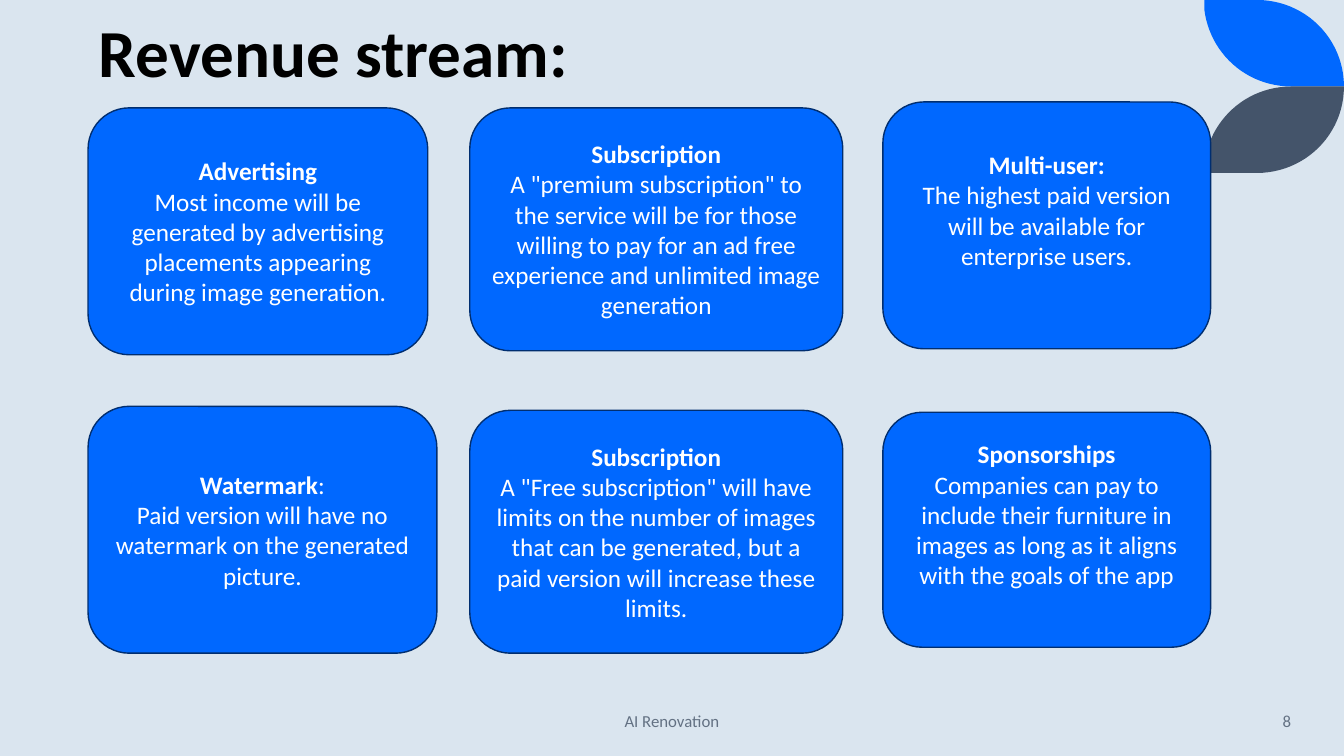
"""Build the revenue stream slide with six cards and a leaf ornament."""
from dataclasses import dataclass

import pptx
import pptx.dml.color
import pptx.enum.shapes
import pptx.enum.text
import pptx.shapes.autoshape
import pptx.slide
import pptx.text.text
import pptx.util

Cm = pptx.util.Cm
Align = pptx.enum.text.PP_ALIGN
Anchor = pptx.enum.text.MSO_ANCHOR
Point = tuple[float, float]


@dataclass(frozen=True)
class Theme:
    """Colours, font and type sizes of the slide."""

    font: str = "Calibri"
    background: str = "DAE5EF"
    accent: str = "0068FF"
    outline: str = "002E70"
    slate: str = "44546A"
    muted: str = "637183"
    title: str = "000000"
    card_text: str = "FFFFFF"
    title_size: int = 48
    card_size: int = 18
    footer_size: int = 12


@dataclass(frozen=True)
class Card:
    """A rounded card, in centimetres, with a bold heading and a body."""

    left: float
    top: float
    width: float
    height: float
    heading: str
    body: str
    suffix: str = ""
    bottom_inset: float = 0.13


@dataclass(frozen=True)
class Footer:
    """A footer text box, in centimetres."""

    left: float
    width: float
    text: str
    align: Align


THEME = Theme()
LEFT, MIDDLE, RIGHT = 2.22, 11.84, 22.25
RAISED_INSET = 0.9
FOOTER_TOP, FOOTER_HEIGHT = 17.65, 1.02
LEAF_LEFT, LEAF_HEIGHT = 30.35, 2.18
CARDS = (
    Card(LEFT, 2.72, 8.56, 6.22, "Advertising",
         "Most income will be generated by advertising placements appearing "
         "during image generation."),
    Card(MIDDLE, 2.72, 9.4, 6.12, "Subscription",
         'A "premium subscription" to the service will be for those willing '
         "to pay for an ad free experience and unlimited image generation"),
    Card(RIGHT, 2.57, 8.26, 6.22, "Multi-user:",
         "The highest paid version will be available for enterprise users.",
         bottom_inset=RAISED_INSET),
    Card(LEFT, 10.24, 8.79, 6.22, "Watermark",
         "Paid version will have no watermark on the generated picture.",
         suffix=":"),
    Card(MIDDLE, 10.34, 9.4, 6.12, "Subscription",
         'A "Free subscription" will have limits on the number of images '
         "that can be generated, but a paid version will increase "
         "these limits."),
    Card(RIGHT, 10.39, 8.26, 5.92, "Sponsorships",
         "Companies can pay to include their furniture in images as long as "
         "it aligns with the goals of the app",
         bottom_inset=RAISED_INSET),
)
FOOTERS = (
    Footer(11.22, 11.43, "AI Renovation", Align.CENTER),
    Footer(28.2, 4.59, "8", Align.RIGHT),
)


def rgb(code: str) -> pptx.dml.color.RGBColor:
    """Return the colour for a hexadecimal code."""
    return pptx.dml.color.RGBColor.from_string(code)


def style(para: pptx.text.text._Paragraph, size: int, color: str,
          align: Align, bold: bool = False) -> None:
    """Align a paragraph and format its runs."""
    para.alignment = align
    for span in para.runs:
        span.font.name = THEME.font
        span.font.size = pptx.util.Pt(size)
        span.font.bold = bold
        span.font.color.rgb = rgb(color)


def paint(shape: pptx.shapes.autoshape.Shape, color: str) -> None:
    """Give a shape a flat fill without shadow."""
    shape.shadow.inherit = False
    shape.fill.solid()
    shape.fill.fore_color.rgb = rgb(color)


def curve(start: Point, first: Point, second: Point, end: Point,
          steps: int = 24) -> list[Point]:
    """Return points along a cubic curve, without its start."""
    points = []
    for step in range(1, steps + 1):
        t = step / steps
        weights = ((1 - t) ** 3, 3 * t * (1 - t) ** 2,
                   3 * t ** 2 * (1 - t), t ** 3)
        x, y = (sum(weight * value for weight, value in zip(weights, values))
                for values in zip(start, first, second, end))
        points.append((x, y))
    return points


def add_leaf(page: pptx.slide.Slide, color: str, mirrored: bool) -> None:
    """Draw a leaf at the top right, or its mirror image below it."""
    points = [(0, 0), (1.32, 0)]
    points += curve((1.32, 0), (2.54, 0), (3.52, 0.97), (3.52, LEAF_HEIGHT))
    points.append((2.2, LEAF_HEIGHT))
    points += curve((2.2, LEAF_HEIGHT), (1.04, LEAF_HEIGHT),
                    (0.13, 1.32), (0, 0.23))
    corners = [(Cm(LEAF_LEFT + x), Cm(2 * LEAF_HEIGHT - y if mirrored else y))
               for x, y in points]
    builder = page.shapes.build_freeform(*corners[0])
    builder.add_line_segments(corners[1:], close=True)
    leaf = builder.convert_to_shape()
    paint(leaf, color)
    leaf.line.fill.background()


def add_title(page: pptx.slide.Slide, text: str) -> None:
    """Place and format the title placeholder."""
    title = page.shapes.title
    title.left, title.top = Cm(2.24), Cm(-1.24)
    title.width, title.height = Cm(27.15), Cm(3.68)
    frame = title.text_frame
    frame.text = text
    frame.auto_size = pptx.enum.text.MSO_AUTO_SIZE.NONE
    frame.vertical_anchor = Anchor.BOTTOM
    frame.paragraphs[0].line_spacing = 0.9
    style(frame.paragraphs[0], THEME.title_size, THEME.title, Align.LEFT, True)


def add_card(page: pptx.slide.Slide, card: Card) -> None:
    """Draw a card with its heading and body."""
    box = page.shapes.add_shape(
        pptx.enum.shapes.MSO_SHAPE.ROUNDED_RECTANGLE,
        Cm(card.left), Cm(card.top), Cm(card.width), Cm(card.height))
    paint(box, THEME.accent)
    box.line.color.rgb = rgb(THEME.outline)
    box.line.width = pptx.util.Pt(1)
    frame = box.text_frame
    frame.word_wrap = True
    frame.vertical_anchor = Anchor.MIDDLE
    frame.margin_bottom = Cm(card.bottom_inset)
    heading, body = frame.paragraphs[0], frame.add_paragraph()
    heading.text = card.heading
    body.text = card.body
    if card.suffix:
        heading.add_run().text = card.suffix
    for para in (heading, body):
        style(para, THEME.card_size, THEME.card_text, Align.CENTER)
    heading.runs[0].font.bold = True


def add_footer(page: pptx.slide.Slide, footer: Footer) -> None:
    """Add one footer text."""
    box = page.shapes.add_textbox(Cm(footer.left), Cm(FOOTER_TOP),
                                  Cm(footer.width), Cm(FOOTER_HEIGHT))
    frame = box.text_frame
    frame.word_wrap = True
    frame.vertical_anchor = Anchor.MIDDLE
    frame.text = footer.text
    style(frame.paragraphs[0], THEME.footer_size, THEME.muted, footer.align)


def main() -> None:
    """Build and save the deck."""
    deck = pptx.Presentation()
    deck.slide_width, deck.slide_height = Cm(33.87), Cm(19.05)
    page = deck.slides.add_slide(deck.slide_layouts.get_by_name("Title Only"))
    page.background.fill.solid()
    page.background.fill.fore_color.rgb = rgb(THEME.background)
    add_leaf(page, THEME.accent, mirrored=False)
    add_leaf(page, THEME.slate, mirrored=True)
    add_title(page, "Revenue stream:")
    for footer in FOOTERS:
        add_footer(page, footer)
    for card in CARDS:
        add_card(page, card)
    deck.save("out.pptx")


if __name__ == "__main__":
    main()
